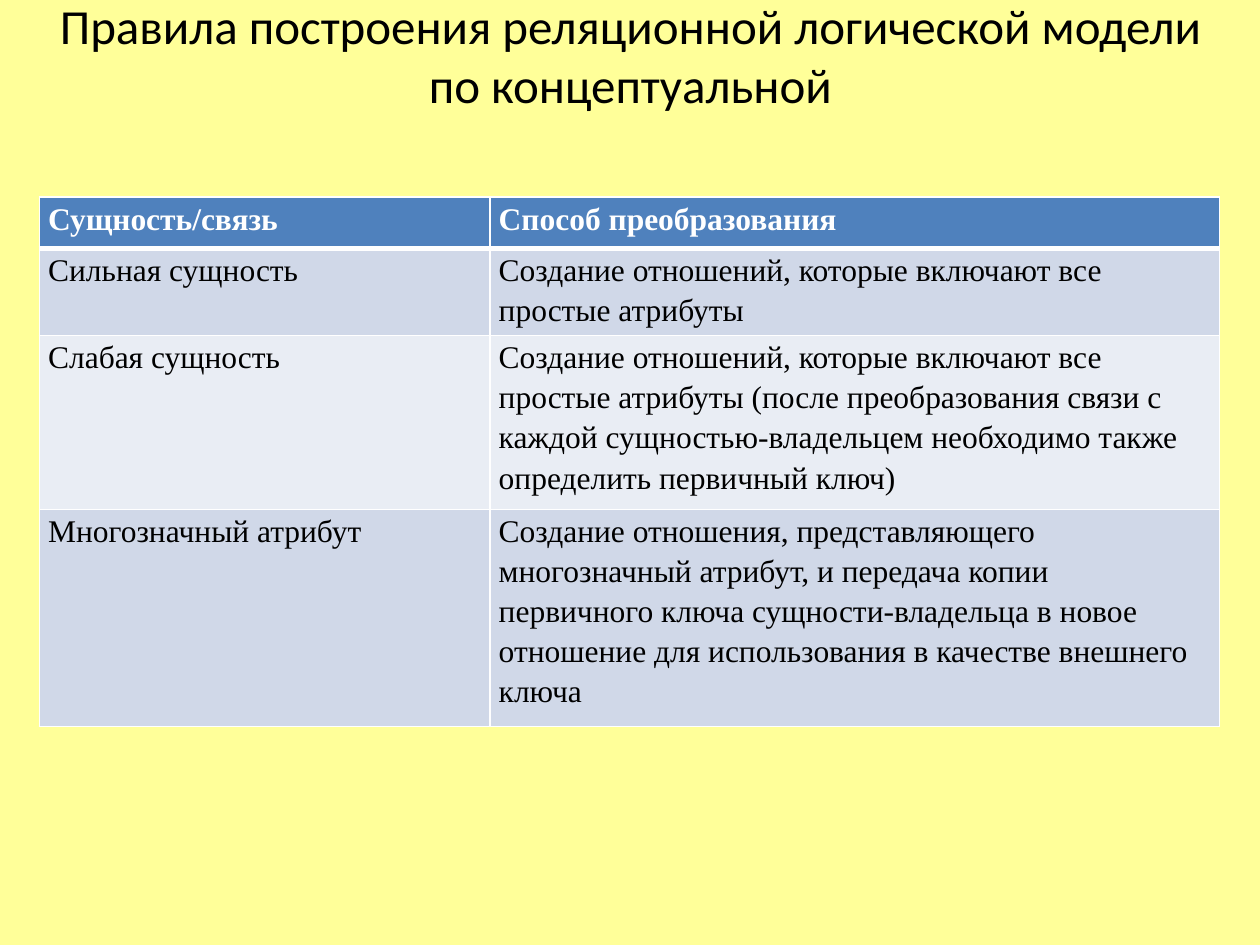
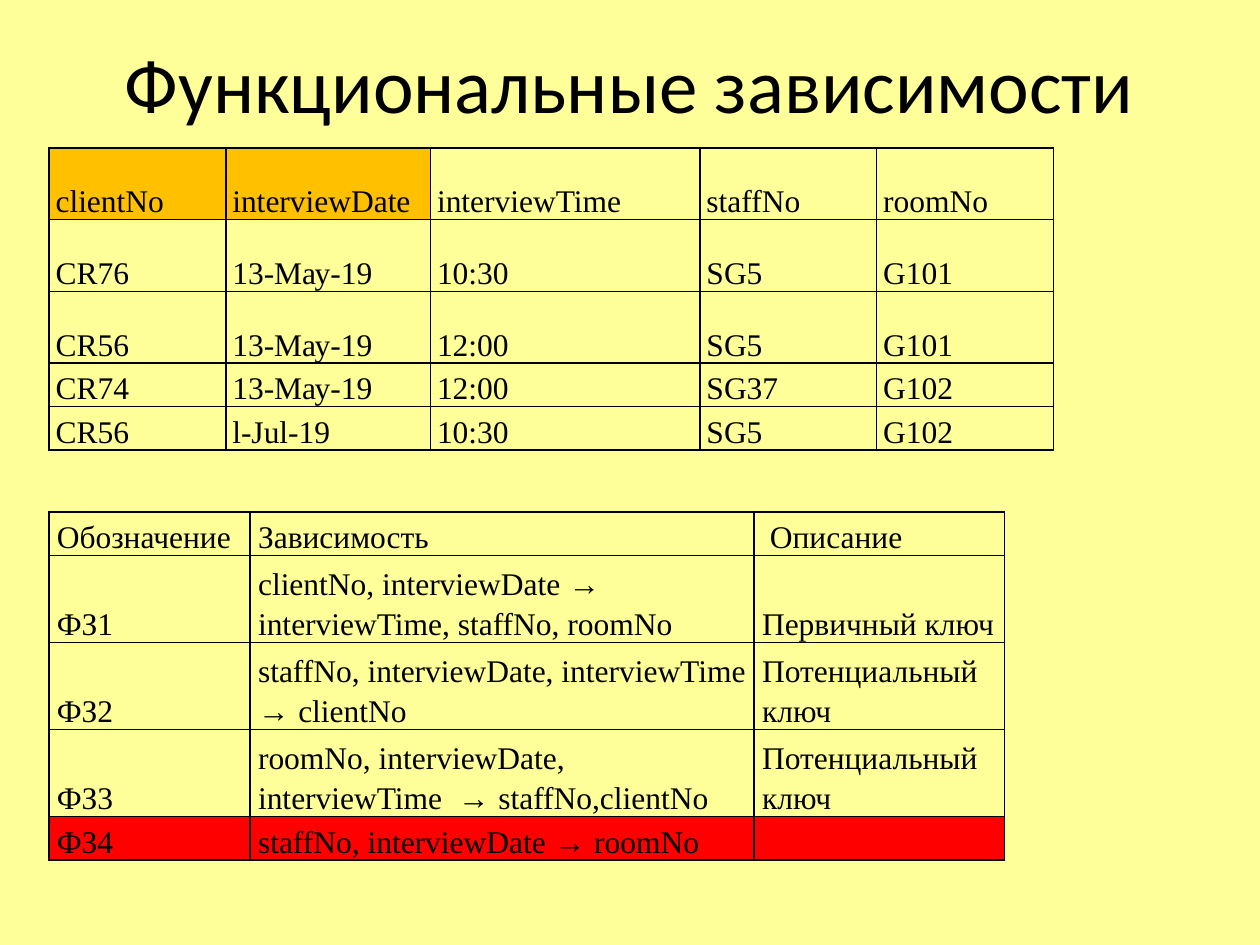
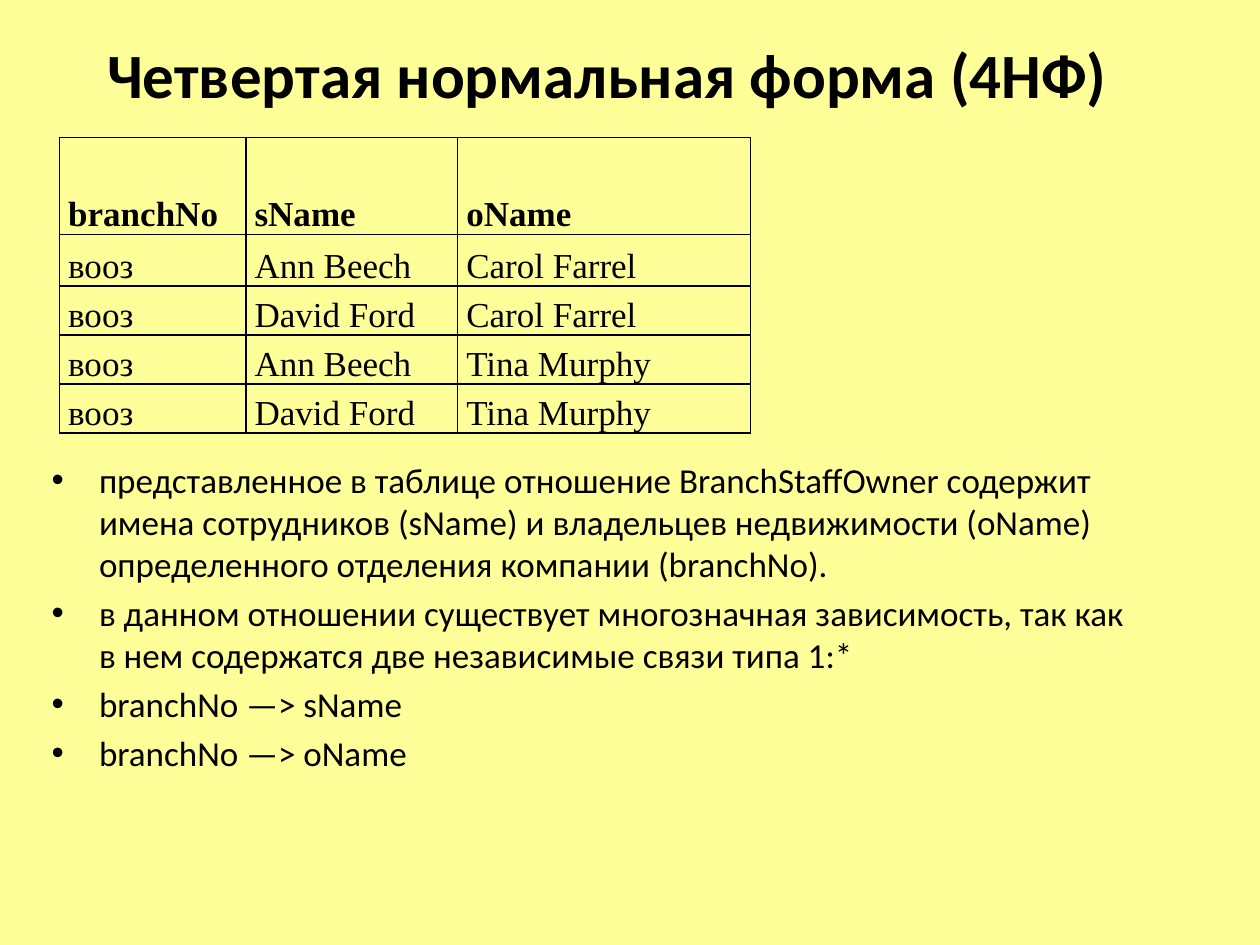
from pptx import Presentation
from pptx.dml.color import RGBColor
from pptx.enum.text import MSO_ANCHOR, PP_ALIGN
from pptx.oxml.ns import qn
from pptx.util import Pt
from lxml import etree

CENTER = PP_ALIGN.CENTER
TOP, MIDDLE, BOTTOM = MSO_ANCHOR.TOP, MSO_ANCHOR.MIDDLE, MSO_ANCHOR.BOTTOM

YELLOW = RGBColor(0xFF, 0xFF, 0x99)
BLACK = RGBColor(0x00, 0x00, 0x00)
WHITE = RGBColor(0xFF, 0xFF, 0xFF)
BLUE = RGBColor(0x4F, 0x81, 0xBD)
BAND_DARK = RGBColor(0xD0, 0xD8, 0xE8)
BAND_LIGHT = RGBColor(0xE9, 0xED, 0xF4)
ORANGE = RGBColor(0xFF, 0xC0, 0x00)
RED = RGBColor(0xFF, 0x00, 0x00)

SANS, SERIF, ARROW_FONT = "Calibri", "Times New Roman", "Arial"
ARROW = "→ "

RULES = [
    ["Сущность/связь", "Способ преобразования"],
    ["Сильная сущность",
     "Создание отношений, которые включают все простые атрибуты"],
    ["Слабая сущность",
     "Создание отношений, которые включают все простые атрибуты (после "
     "преобразования связи с каждой сущностью-владельцем необходимо также "
     "определить первичный ключ)"],
    ["Многозначный атрибут",
     "Создание отношения, представляющего многозначный атрибут, и передача "
     "копии первичного ключа сущности-владельца в новое отношение для "
     "использования в качестве внешнего ключа"],
]
DEPENDENCIES = [
    ["Обозначение", "Зависимость", " Описание"],
    ["ФЗ1", "clientNo, interviewDate → interviewTime, staffNo, roomNo",
     "Первичный ключ"],
    ["ФЗ2", "staffNo, interviewDate, interviewTime → clientNo",
     "Потенциальный ключ"],
    ["ФЗ3", "roomNo, interviewDate, interviewTime  → staffNo,clientNo",
     "Потенциальный ключ"],
    ["ФЗ4", "staffNo, interviewDate → roomNo", ""],
]
INTERVIEWS = [
    ["clientNo", "interviewDate", "interviewTime", "staffNo", "roomNo"],
    ["CR76", "13-Мау-19", "10:30", "SG5", "G101"],
    ["CR56", "13-Мау-19", "12:00", "SG5", "G101"],
    ["CR74", "13-Мау-19", "12:00", "SG37", "G102"],
    ["CR56", "l-Jul-19", "10:30", "SG5", "G102"],
]
BRANCH_STAFF_OWNER = [
    ["branchNo", "sName", "oName"],
    ["вооз", "Ann Beech", "Carol Farrel"],
    ["вооз", "David Ford", "Carol Farrel"],
    ["вооз", "Ann Beech", "Tina Murphy"],
    ["вооз", "David Ford", "Tina Murphy"],
]
NOTES = [
    "представленное в таблице отношение BranchStaffOwner содержит имена "
    "сотрудников (sName) и владельцев недвижимости (oName) определенного "
    "отделения компании (branchNo).",
    "в данном отношении существует многозначная зависимость, так как в нем "
    "содержатся две независимые связи типа 1:*",
    "branchNo —> sName",
    "branchNo —> oName",
]


def style_run(r, font, size, color=BLACK, bold=False):
    """Set the font of one run."""
    r.font.name = font
    r.font.size = Pt(size)
    r.font.color.rgb = color
    r.font.bold = bold


def add_slide(prs):
    """Add a blank slide with the shared background."""
    s = prs.slides.add_slide(prs.slide_layouts[6])
    s.background.fill.solid()
    s.background.fill.fore_color.rgb = YELLOW
    return s


def add_text_frame(s, box, anchor):
    """Add a wrapping text box and return its text frame."""
    tf = s.shapes.add_textbox(*map(Pt, box)).text_frame
    tf.word_wrap = True
    tf.vertical_anchor = anchor
    return tf


def add_title(s, text, box, size, bold=False):
    """Add the centred slide title."""
    tf = add_text_frame(s, box, MIDDLE)
    tf.text = text
    p = tf.paragraphs[0]
    p.alignment = CENTER
    style_run(p.runs[0], SANS, size, bold=bold)


def add_bullets(s, items, box, size):
    """Add a bulleted list with a hanging indent."""
    tf = add_text_frame(s, box, TOP)
    tf.text = "\n".join(items)
    for p in tf.paragraphs:
        p.space_before = Pt(0.2 * size)
        style_run(p.runs[0], SANS, size)
        pPr = p._p.get_or_add_pPr()
        pPr.set("marL", str(Pt(27)))
        pPr.set("indent", str(Pt(-27)))
        etree.SubElement(pPr, qn("a:buFont"), typeface="Arial")
        etree.SubElement(pPr, qn("a:buChar"), char="•")


def set_borders(cell, color, top=1, bottom=1):
    """Draw the four borders of a cell."""
    tcPr = cell._tc.get_or_add_tcPr()
    for side, width in (("L", 1), ("R", 1), ("T", top), ("B", bottom)):
        ln = etree.SubElement(tcPr, qn(f"a:ln{side}"), w=str(Pt(width)))
        fill = etree.SubElement(ln, qn("a:solidFill"))
        etree.SubElement(fill, qn("a:srgbClr"), val=str(color))


def fill_cell(cell, color):
    """Fill a cell, or leave it clear when there is no colour."""
    if color is None:
        cell.fill.background()
    else:
        cell.fill.solid()
        cell.fill.fore_color.rgb = color


def write_cell(cell, text, size, color, bold):
    """Write cell text, with arrows in their own font."""
    p = cell.text_frame.paragraphs[0]
    p.line_spacing = 1.15
    p.space_after = Pt(10)
    for part in filter(None, text.partition(ARROW)):
        r = p.add_run()
        r.text = part
        style_run(r, ARROW_FONT if part == ARROW else SERIF, size, color, bold)


def add_grid(s, rows, left, top, widths, heights, fill_at, size=18, inset=5,
             anchor=BOTTOM, line=BLACK, head_line=1, head_color=BLACK,
             head_bold=False):
    """Add a table whose fills come from fill_at(row, column)."""
    table = s.shapes.add_table(len(rows), len(widths), Pt(left), Pt(top),
                               Pt(sum(widths)), Pt(sum(heights))).table
    table.first_row = table.horz_banding = False
    for column, width in zip(table.columns, widths):
        column.width = Pt(width)
    for i, (texts, height) in enumerate(zip(rows, heights)):
        table.rows[i].height = Pt(height)
        head = i == 0
        for j, text in enumerate(texts):
            cell = table.cell(i, j)
            cell.margin_left = cell.margin_right = Pt(inset)
            cell.margin_top = cell.margin_bottom = 0
            cell.vertical_anchor = anchor
            set_borders(cell, line, top=head_line if i == 1 else 1,
                        bottom=head_line if head else 1)
            fill_cell(cell, fill_at(i, j))
            if text:
                write_cell(cell, text, size, head_color if head else BLACK,
                           head and head_bold)


def rule_fill(i, j):
    """Return the header colour or the alternating band colour."""
    if i == 0:
        return BLUE
    return BAND_DARK if i % 2 else BAND_LIGHT


def add_rules_slide(prs):
    """Build the slide with the conversion rules."""
    s = add_slide(prs)
    add_title(s, "Правила построения реляционной логической модели "
                 "по концептуальной", (11.5, 0, 697.5, 62.5), 28)
    add_grid(s, RULES, 22.5, 112.5, [257.5, 417], [29.5, 46, 91.5, 114.5],
             rule_fill, anchor=TOP, line=WHITE, head_line=3,
             head_color=WHITE, head_bold=True)


def add_dependencies_slide(prs):
    """Build the slide with the functional dependencies."""
    s = add_slide(prs)
    add_title(s, "Функциональные зависимости", (36, 21.5, 648, 52), 44)
    add_grid(s, DEPENDENCIES, 28, 292.5, [115, 288, 143],
             [25, 46, 46, 46, 23], lambda i, j: RED if i == 4 else None,
             inset=4.5)
    add_grid(s, INTERVIEWS, 28, 84.5, [101, 117, 154, 101, 101],
             [41, 41, 41, 23, 23],
             lambda i, j: ORANGE if i == 0 and j < 2 else None, inset=3.75)


def add_fourth_form_slide(prs):
    """Build the slide on the fourth normal form."""
    s = add_slide(prs)
    add_title(s, "Четвертая нормальная форма (4НФ)", (36, 21.5, 622, 40.5),
              36, bold=True)
    add_bullets(s, NOTES, (22.5, 258.5, 633.5, 166.5), 20)
    add_grid(s, BRANCH_STAFF_OWNER, 34, 78.5, [106.5, 121, 167.5],
             [55.5, 29.5, 28, 28, 28], lambda i, j: None, size=20,
             head_bold=True)


def main():
    """Build the presentation."""
    prs = Presentation()
    prs.slide_width, prs.slide_height = Pt(720), Pt(540)
    add_rules_slide(prs)
    add_dependencies_slide(prs)
    add_fourth_form_slide(prs)
    prs.save("out.pptx")


if __name__ == "__main__":
    main()
